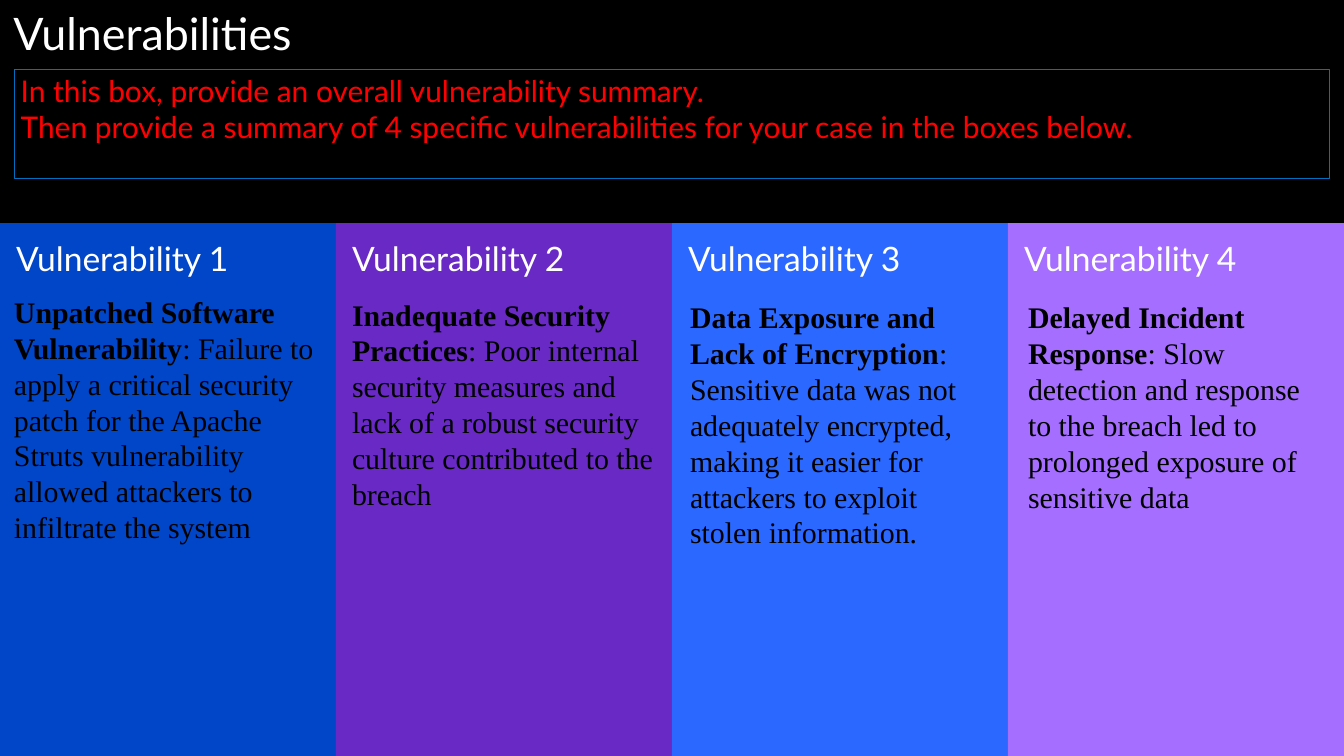
from pptx import Presentation
from pptx.dml.color import RGBColor
from pptx.enum.shapes import MSO_SHAPE
from pptx.enum.text import MSO_ANCHOR, MSO_AUTO_SIZE, PP_ALIGN
from pptx.util import Emu, Pt

PX = 9144  # 100 px to the inch


class Theme:
    background = RGBColor(0x00, 0x00, 0x00)
    light = RGBColor(0xFF, 0xFF, 0xFF)
    dark = RGBColor(0x00, 0x00, 0x00)
    prompt = RGBColor(0xFF, 0x00, 0x00)
    outline = RGBColor(0x00, 0x70, 0xC0)
    columns = [RGBColor.from_string(c) for c in ("0146C9", "6929C4", "2B68FF", "A56EFF")]
    sans, serif = "Lato", "Times New Roman"
    title, label, body = Pt(48), Pt(36), Pt(32)


def px(*lengths):
    return [Emu(n * PX) for n in lengths]


def set_text(shape, lines, font, size, color, insets=(10, 5, 10, 5)):
    """Each line is a list of (text, bold) runs."""
    tf = shape.text_frame
    tf.word_wrap = True
    tf.vertical_anchor = MSO_ANCHOR.TOP
    tf.margin_left, tf.margin_top, tf.margin_right, tf.margin_bottom = px(*insets)
    for i, runs in enumerate(lines):
        p = tf.paragraphs[0] if i == 0 else tf.add_paragraph()
        p.alignment = PP_ALIGN.LEFT
        p.font.name, p.font.size, p.font.color.rgb = font, size, color
        for text, bold in runs:
            r = p.add_run()
            r.text = text
            if bold:
                r.font.bold = True
    return tf


prs = Presentation()
prs.slide_width, prs.slide_height = px(2000, 1125)
s = prs.slides.add_slide(prs.slide_layouts[6])
s.background.fill.solid()
s.background.fill.fore_color.rgb = Theme.background

# Title
title = s.shapes.add_textbox(*px(0, 0, 2000, 311))
tf = set_text(title, [[("Vulnerabilities", False)]], Theme.sans, Theme.title,
              Theme.light, (20, 18, 25, 25))
tf.paragraphs[0].line_spacing = 0.9

# Coloured columns with their labels
for i, color in enumerate(Theme.columns):
    column = s.shapes.add_shape(MSO_SHAPE.RECTANGLE, *px(i * 500, 332, 500, 793))
    column.shadow.inherit = False
    column.fill.solid()
    column.fill.fore_color.rgb = color
    column.line.fill.background()
    set_text(column, [[(f"Vulnerability {i + 1}", False)]], Theme.sans, Theme.label,
             Theme.light, (24, 22, 25, 25))

# Overall summary
summary = s.shapes.add_shape(MSO_SHAPE.RECTANGLE, *px(21, 103, 1957, 163))
summary.shadow.inherit = False
summary.fill.background()
summary.line.color.rgb = Theme.outline
summary.line.width = Pt(0.75)
prompts = [
    "In this box, provide an overall vulnerability summary.",
    "Then provide a summary of 4 specific vulnerabilities for your case in the boxes below.",
]
set_text(summary, [[(text, False)] for text in prompts], Theme.sans, Theme.body, Theme.prompt)

# Vulnerability descriptions: left, top, height, heading, detail
descriptions = [
    (11, 432, 441, "Unpatched Software Vulnerability",
     ": Failure to apply a critical security patch for the Apache Struts vulnerability "
     "allowed attackers to infiltrate the system"),
    (514, 436, 387, "Inadequate Security Practices",
     ": Poor internal security measures and lack of a robust security culture "
     "contributed to the breach"),
    (1017, 440, 441, "Data Exposure and Lack of Encryption",
     ": Sensitive data was not adequately encrypted, making it easier for attackers "
     "to exploit stolen information."),
    (1520, 440, 333, "Delayed Incident Response",
     ": Slow detection and response to the breach led to prolonged exposure of "
     "sensitive data"),
]
for left, top, height, heading, detail in descriptions:
    box = s.shapes.add_textbox(*px(left, top, 470, height))
    tf = set_text(box, [[(heading, True), (detail, False)]], Theme.serif, Theme.body, Theme.dark)
    tf.auto_size = MSO_AUTO_SIZE.SHAPE_TO_FIT_TEXT

prs.save("out.pptx")
